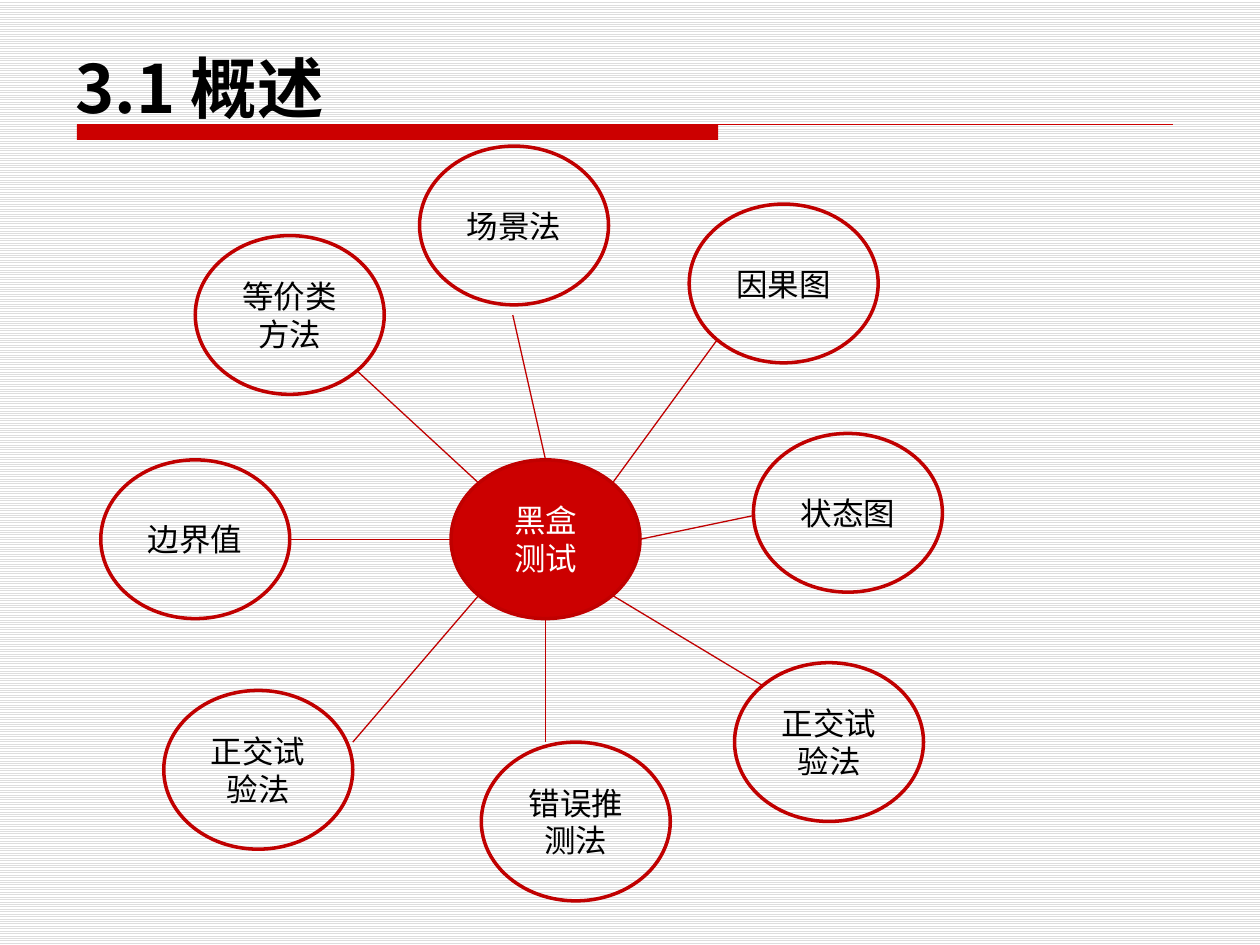
from dataclasses import dataclass
from math import cos, radians, sin

from lxml import etree
from pptx import Presentation
from pptx.dml.color import RGBColor
from pptx.enum.dml import MSO_PATTERN
from pptx.enum.shapes import MSO_CONNECTOR, MSO_SHAPE
from pptx.enum.text import MSO_ANCHOR as Anchor, PP_ALIGN as Align
from pptx.oxml.ns import qn
from pptx.util import Pt

RED, DARK_RED, BLACK, WHITE = "CC0000", "C00000", "000000", "FFFFFF"
CJK_FONT = "Noto Sans CJK SC"
NODE_WIDTH, NODE_HEIGHT = 108, 90.72
HUB_LEFT, HUB_TOP = 257.76, 262.8
RULE_LEFT, RULE_TOP = 43.92, 71.28
NODE_FORMAT = {"size": Pt(18), "name": "DejaVu Sans"}
TITLE_FORMAT = {"size": Pt(38), "name": CJK_FONT, "bold": True}


@dataclass
class Method:
    """A test method: its bubble, and the spoke from the hub at an angle."""
    label: str
    left: float
    top: float
    angle: int
    spoke_x: float
    spoke_y: float


METHODS = [
    Method("等价类方法", 111.6, 134.64, 225, 203.76, 211.68),
    Method("边界值", 57.6, 262.8, 180, 165.6, 308.16),
    Method("正交试验法", 93.6, 394.56, 135, 201.6, 424.08),
    Method("因果图", 393.84, 116.64, 315, 409.68, 194.4),
    Method("状态图", 430.56, 247.68, 0, 431.28, 294.48),
    Method("正交试验法", 419.76, 378.72, 45, 435.6, 391.68),
    Method("错误推测法", 275.04, 424.08, 90, 311.76, 424.08),
    Method("场景法", 239.76, 83.52, 270, 293.04, 180),
]


def color(value: str) -> RGBColor:
    """Turn a hex string into a colour."""
    return RGBColor.from_string(value)


def write(frame, lines: list, formats: dict, text_color: str, align, anchor) -> None:
    """Write one formatted paragraph for each line."""
    frame.word_wrap = True
    frame.vertical_anchor = anchor
    for index, line in enumerate(lines):
        paragraph = frame.add_paragraph() if index else frame.paragraphs[0]
        paragraph.alignment = align
        run = paragraph.add_run()
        run.text = line
        for name, value in formats.items():
            setattr(run.font, name, value)
        run.font.color.rgb = color(text_color)
        east_asian = etree.SubElement(run.font._element, qn("a:ea"))
        east_asian.set("typeface", CJK_FONT)


def add_line(slide, start: tuple, end: tuple, line_color: str) -> None:
    """Draw a thin straight line without a shadow."""
    points = [Pt(value) for value in (*start, *end)]
    line = slide.shapes.add_connector(MSO_CONNECTOR.STRAIGHT, *points)
    line.line.color.rgb = color(line_color)
    line.line.width = Pt(0.75)
    etree.SubElement(line._element.spPr, qn("a:effectLst"))


def add_bubble(slide, lines: list, left: float, top: float,
               text_color: str = BLACK, fill: str = "") -> None:
    """Draw an outlined ellipse with centred text."""
    bubble = slide.shapes.add_shape(
        MSO_SHAPE.OVAL, Pt(left), Pt(top), Pt(NODE_WIDTH), Pt(NODE_HEIGHT))
    bubble.shadow.inherit = False
    if fill:
        bubble.fill.solid()
        bubble.fill.fore_color.rgb = color(fill)
    else:
        bubble.fill.background()
    bubble.line.color.rgb = color(DARK_RED)
    bubble.line.width = Pt(2)
    write(bubble.text_frame, lines, NODE_FORMAT, text_color, Align.CENTER, Anchor.MIDDLE)


def hub_point(angle: int) -> tuple:
    """Find the point on the hub's outline at an angle, clockwise from the right."""
    turn = radians(angle)
    return (HUB_LEFT + NODE_WIDTH / 2 * (1 + cos(turn)),
            HUB_TOP + NODE_HEIGHT / 2 * (1 + sin(turn)))


def add_heading(slide) -> None:
    """Draw the title with the thick bar and thin rule below it."""
    bar = slide.shapes.add_shape(
        MSO_SHAPE.RECTANGLE, Pt(RULE_LEFT), Pt(RULE_TOP), Pt(366.48), Pt(8.64))
    bar.shadow.inherit = False
    bar.fill.solid()
    bar.fill.fore_color.rgb = color(RED)
    bar.line.fill.background()
    add_line(slide, (RULE_LEFT, RULE_TOP), (670.32, RULE_TOP), RED)
    title = slide.shapes.add_textbox(Pt(36), Pt(-19.44), Pt(630), Pt(95.76))
    write(title.text_frame, ["3.1 概述"], TITLE_FORMAT, BLACK, Align.LEFT, Anchor.BOTTOM)


def main() -> None:
    """Build and save the slide."""
    presentation = Presentation()
    presentation.slide_width, presentation.slide_height = Pt(720), Pt(540)
    slide = presentation.slides.add_slide(presentation.slide_layouts[6])
    background = slide.background.fill
    background.patterned()
    background.pattern = MSO_PATTERN.LIGHT_HORIZONTAL
    background.fore_color.rgb = color("DDDDDD")
    background.back_color.rgb = color(WHITE)

    add_heading(slide)
    add_bubble(slide, ["黑盒", "测试"], HUB_LEFT, HUB_TOP, WHITE, RED)
    for method in METHODS:
        add_bubble(slide, [method.label], method.left, method.top)
        add_line(slide, (method.spoke_x, method.spoke_y),
                 hub_point(method.angle), DARK_RED)
    presentation.save("out.pptx")


main()
